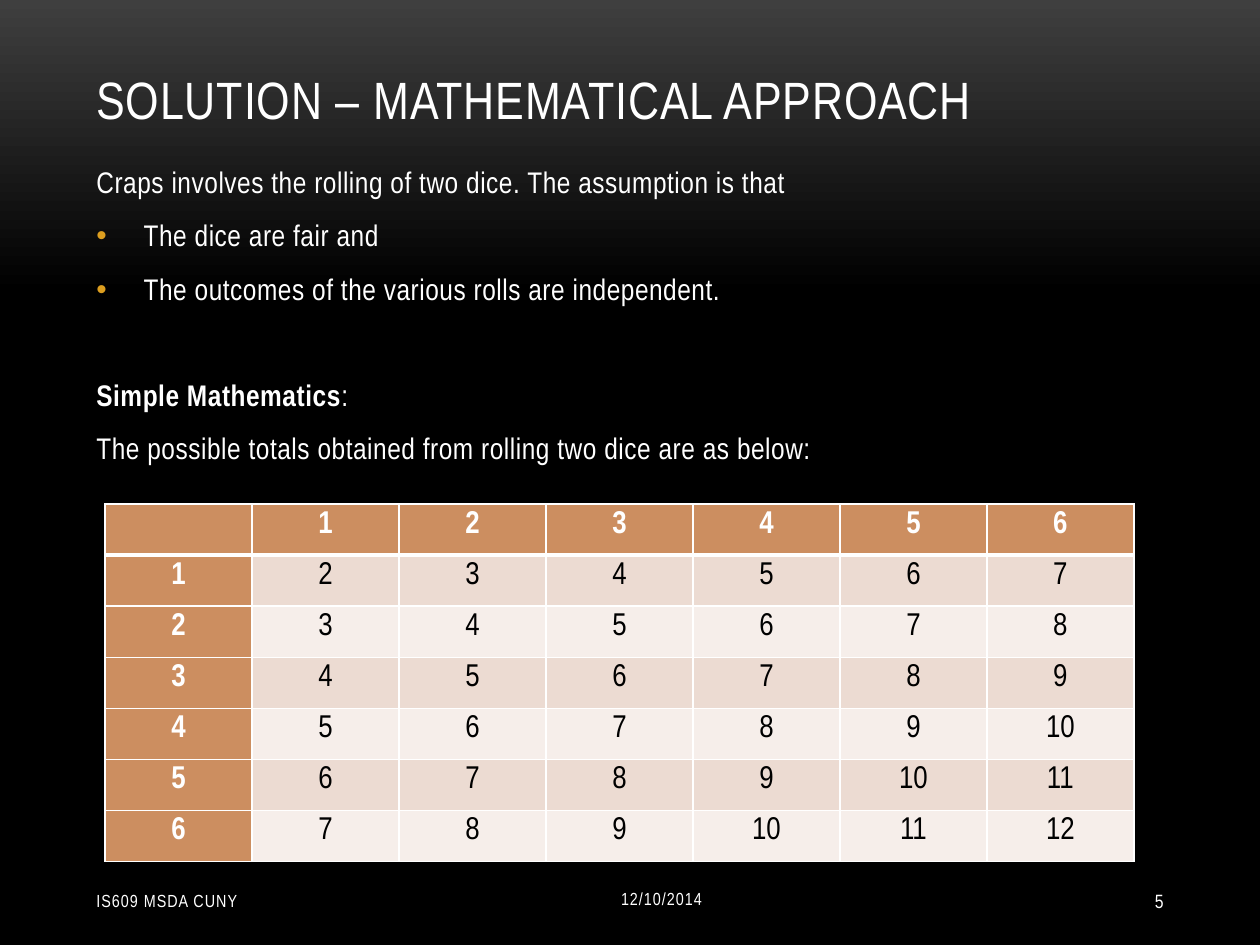
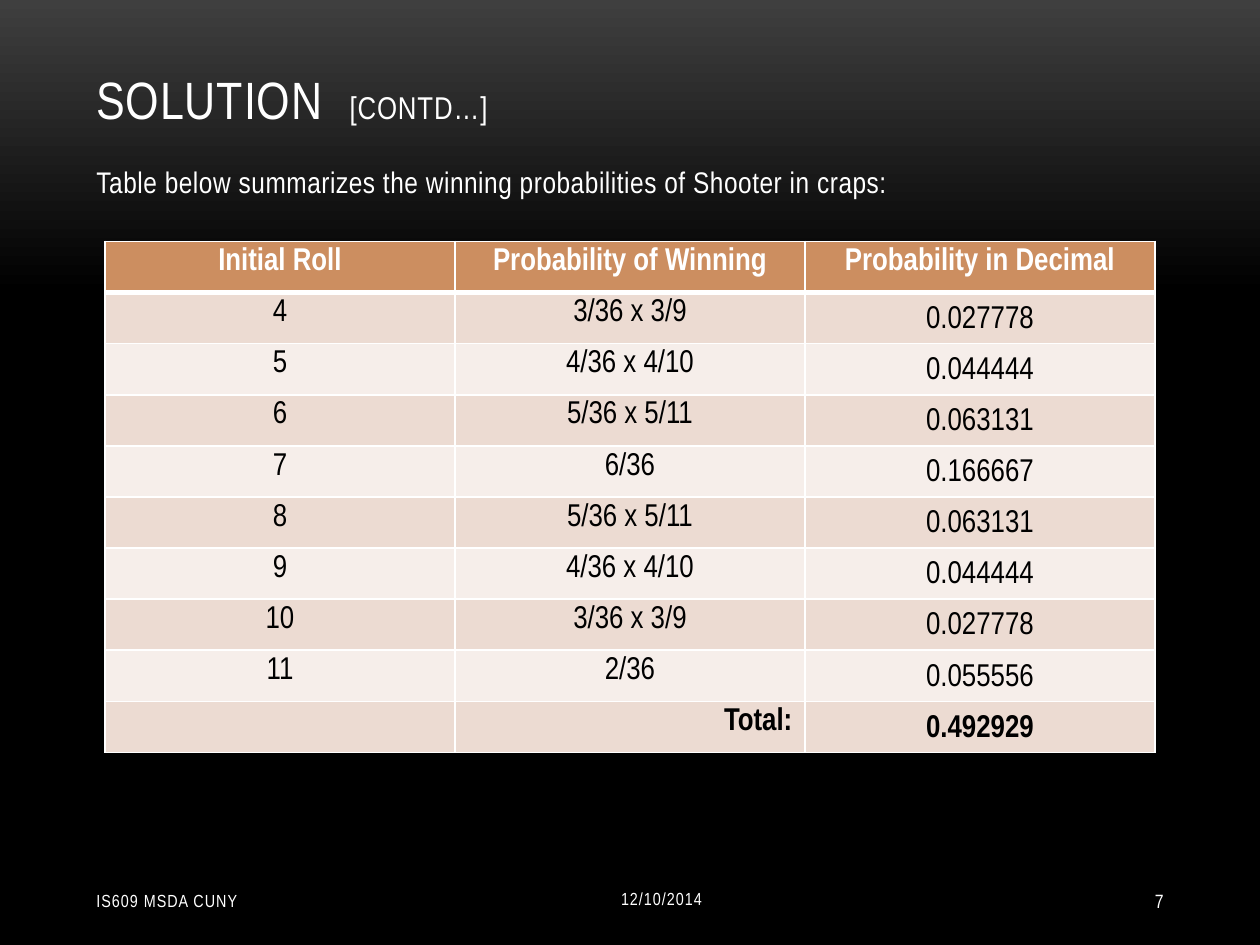
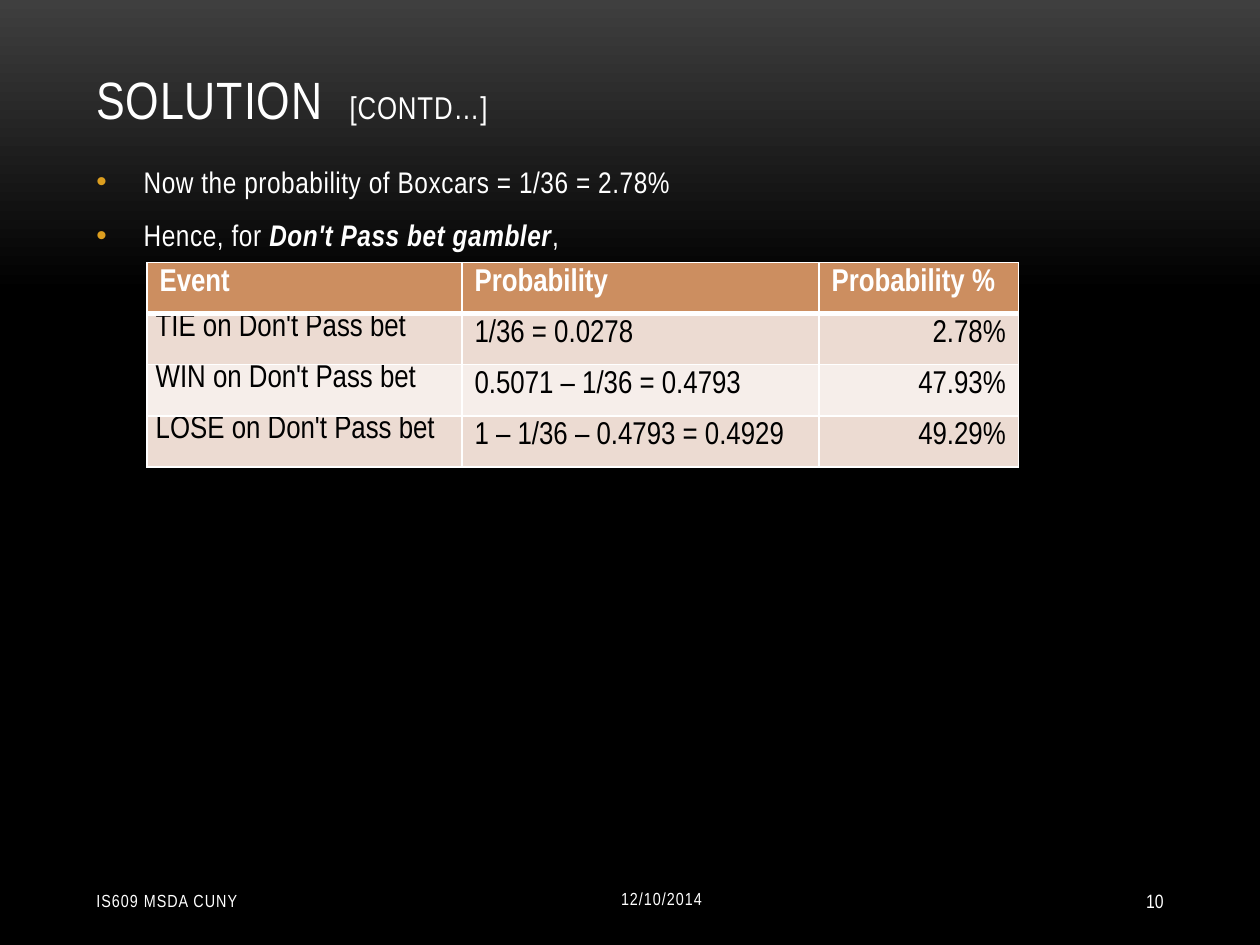
from lxml import etree
from pptx import Presentation
from pptx.dml.color import RGBColor
from pptx.enum.text import MSO_ANCHOR, PP_ALIGN
from pptx.oxml.ns import qn
from pptx.util import Pt

LEFT, CENTER, RIGHT = PP_ALIGN.LEFT, PP_ALIGN.CENTER, PP_ALIGN.RIGHT
TOP, MIDDLE, BOTTOM = MSO_ANCHOR.TOP, MSO_ANCHOR.MIDDLE, MSO_ANCHOR.BOTTOM

FONT = "Arial Narrow"
COLORS = {
    "glow": "3F3F3F",
    "black": "000000",
    "white": "FFFFFF",
    "bullet": "DC9E1F",
    "header": "CC8E60",
    "odd_row": "ECDBD2",
    "even_row": "F6EEEA",
}
TITLE_BOX = (48, 21.6, 624, 56.2)
BODY_BOX = (48, 90, 624, 360)
COURSE_BOX = (48, 500.4, 228, 28.8)
DATE_BOX = (318, 499, 120, 28.8)
NUMBER_BOX = (594, 500.4, 78, 28.8)
ROW_HEIGHT = 29.2
INDENT = 27
CONTINUED = [("SOLUTION", {}), (" ", {"spacing": 8}), ("[CONTD…]", {"size": 18})]


def rgb(name):
    return RGBColor.from_string(COLORS[name])


def style_run(run, size, color="white", bold=False, italic=False, spacing=0):
    run.font.name = FONT
    run.font.size = Pt(size)
    run.font.bold = bold
    run.font.italic = italic
    run.font.color.rgb = rgb(color)
    if spacing:
        run._r.get_or_add_rPr().set("spc", str(round(spacing * 100)))


def write(paragraph, pieces, **base):
    for text, changes in pieces:
        run = paragraph.add_run()
        run.text = text
        style_run(run, **{**base, **changes})


def text_frame(slide, box, anchor):
    frame = slide.shapes.add_textbox(*map(Pt, box)).text_frame
    frame.word_wrap = True
    frame.vertical_anchor = anchor
    return frame


def add_line(slide, box, pieces, anchor=MIDDLE, align=LEFT, **base):
    paragraph = text_frame(slide, box, anchor).paragraphs[0]
    paragraph.alignment = align
    write(paragraph, pieces, **base)


def indent(paragraph, bulleted):
    properties = paragraph._p.get_or_add_pPr()
    properties.set("marL", str(Pt(INDENT)))
    properties.set("indent", str(-Pt(INDENT)))
    if bulleted:
        color = etree.SubElement(properties, qn("a:buClr"))
        etree.SubElement(color, qn("a:srgbClr"), val=COLORS["bullet"])
        etree.SubElement(properties, qn("a:buFont"), typeface="Arial")
        etree.SubElement(properties, qn("a:buChar"), char="•")


def add_body(slide, box, points):
    frame = text_frame(slide, box, TOP)
    for index, (bulleted, gap, pieces) in enumerate(points):
        paragraph = frame.add_paragraph() if index else frame.paragraphs[0]
        paragraph.space_before = Pt(4.2 + gap)
        paragraph.space_after = Pt(6)
        indent(paragraph, bulleted)
        write(paragraph, pieces, size=17, spacing=0.3)


def add_frame(prs, title, number):
    slide = prs.slides.add_slide(prs.slide_layouts[6])
    add_line(slide, TITLE_BOX, title, BOTTOM, size=30, spacing=0.5)
    add_line(slide, DATE_BOX, [("12/10/2014", {})], align=CENTER, size=10, spacing=0.6)
    add_line(slide, NUMBER_BOX, [(number, {})], align=RIGHT, size=11)
    add_line(slide, COURSE_BOX, [("IS609 MSDA CUNY", {})], size=10, spacing=0.6)
    return slide


def set_borders(cell, top, bottom):
    properties = cell._tc.get_or_add_tcPr()
    widths = {"lnL": 1, "lnR": 1, "lnT": top, "lnB": bottom}
    for position, (side, width) in enumerate(widths.items()):
        line = etree.Element(qn(f"a:{side}"), w=str(Pt(width)))
        fill = etree.SubElement(line, qn("a:solidFill"))
        etree.SubElement(fill, qn("a:srgbClr"), val=COLORS["white"])
        properties.insert(position, line)


def set_margins(cell, horizontal, vertical):
    cell.margin_left = cell.margin_right = Pt(horizontal)
    cell.margin_top = cell.margin_bottom = Pt(vertical)


def add_grid(slide, left, top, widths, rows, aligns, header_column=False):
    table = slide.shapes.add_table(
        len(rows), len(widths), Pt(left), Pt(top),
        Pt(sum(widths)), Pt(ROW_HEIGHT * len(rows))).table
    for column, width in zip(table.columns, widths):
        column.width = Pt(width)
    for r, values in enumerate(rows):
        table.rows[r].height = Pt(ROW_HEIGHT)
        for c, value in enumerate(values):
            cell = table.cell(r, c)
            is_header = r == 0 or (header_column and c == 0)
            cell.fill.solid()
            cell.fill.fore_color.rgb = rgb(
                "header" if is_header else "odd_row" if r % 2 else "even_row")
            set_borders(cell, 3 if r == 1 else 1, 1 if r else 3)
            paragraph = cell.text_frame.paragraphs[0]
            paragraph.text = value
            paragraph.alignment = aligns[c] if r else aligns[0]
            for run in paragraph.runs:
                style_run(run, 18, "white" if is_header else "black", is_header)
    return table


def build_totals_slide(prs):
    slide = add_frame(prs, [("SOLUTION – MATHEMATICAL APPROACH", {})], "5")
    add_body(slide, BODY_BOX, [
        (False, 0, [("Craps involves the rolling of two dice. The assumption is that", {})]),
        (True, 0, [("The dice are fair and", {})]),
        (True, 0, [("The outcomes of the various rolls are independent.", {})]),
        (False, 29.8, [("Simple Mathematics", {"bold": True}), (":", {})]),
        (False, 0, [("The possible totals obtained from rolling two dice are as below:", {})]),
    ])
    faces = range(1, 7)
    rows = [[""] + [str(face) for face in faces]]
    rows += [[str(first)] + [str(first + second) for second in faces] for first in faces]
    add_grid(slide, 60, 288, [84] * 7, rows, [CENTER] * 7, header_column=True)


def build_winning_slide(prs):
    slide = add_frame(prs, CONTINUED, "7")
    add_body(slide, BODY_BOX, [(False, 0, [
        ("Table below summarizes the winning probabilities of Shooter in craps:", {})])])
    rows = [
        ("Initial Roll", "Probability of Winning", "Probability in Decimal"),
        ("4", "3/36 x 3/9", "0.027778"),
        ("5", "4/36 x 4/10", "0.044444"),
        ("6", "5/36 x 5/11", "0.063131"),
        ("7", "6/36", "0.166667"),
        ("8", "5/36 x 5/11", "0.063131"),
        ("9", "4/36 x 4/10", "0.044444"),
        ("10", "3/36 x 3/9", "0.027778"),
        ("11", "2/36", "0.055556"),
        ("", "Total:", "0.492929"),
    ]
    table = add_grid(slide, 60, 138, [200] * 3, rows, [CENTER] * 3)
    for r in range(1, len(rows)):
        decimal = table.cell(r, 2)
        decimal.vertical_anchor = MIDDLE
        set_margins(decimal, 0.72, 0.72)
        paragraph = decimal.text_frame.paragraphs[0]
        paragraph.line_spacing = 1.15
        paragraph.space_after = Pt(10)
    total_row = len(rows) - 1
    for c in (1, 2):
        table.cell(total_row, c).text_frame.paragraphs[0].runs[0].font.bold = True
    table.cell(total_row, 1).text_frame.paragraphs[0].alignment = RIGHT


def build_gambler_slide(prs):
    slide = add_frame(prs, CONTINUED, "10")
    add_body(slide, BODY_BOX, [
        (True, 0, [("Now the probability of Boxcars = 1/36 = 2.78%", {})]),
        (True, 0, [("Hence, for ", {}),
                   ("Don't Pass bet gambler", {"bold": True, "italic": True}),
                   (",", {})]),
    ])
    rows = [
        ("Event", "Probability", "Probability %"),
        ("TIE on Don't Pass bet", "1/36 = 0.0278", "2.78%"),
        ("WIN on Don't Pass bet", "0.5071 – 1/36 = 0.4793", "47.93%"),
        ("LOSE on Don't Pass bet", "1 – 1/36 – 0.4793 = 0.4929", "49.29%"),
    ]
    table = add_grid(slide, 84, 150, [180, 204, 114], rows, [LEFT, LEFT, RIGHT])
    for r in range(1, len(rows)):
        event = table.cell(r, 0)
        set_margins(event, 5, 0)
        paragraph = event.text_frame.paragraphs[0]
        paragraph.space_before = paragraph.space_after = Pt(1.8)


def set_background(prs):
    fill = prs.slide_master.background.fill
    fill.gradient()
    fill.gradient_angle = 270
    for stop, position, color in zip(fill.gradient_stops, (0, 0.31), ("glow", "black")):
        stop.position = position
        stop.color.rgb = rgb(color)


def main():
    prs = Presentation()
    prs.slide_width, prs.slide_height = Pt(720), Pt(540)
    set_background(prs)
    build_totals_slide(prs)
    build_winning_slide(prs)
    build_gambler_slide(prs)
    prs.save("out.pptx")


if __name__ == "__main__":
    main()
